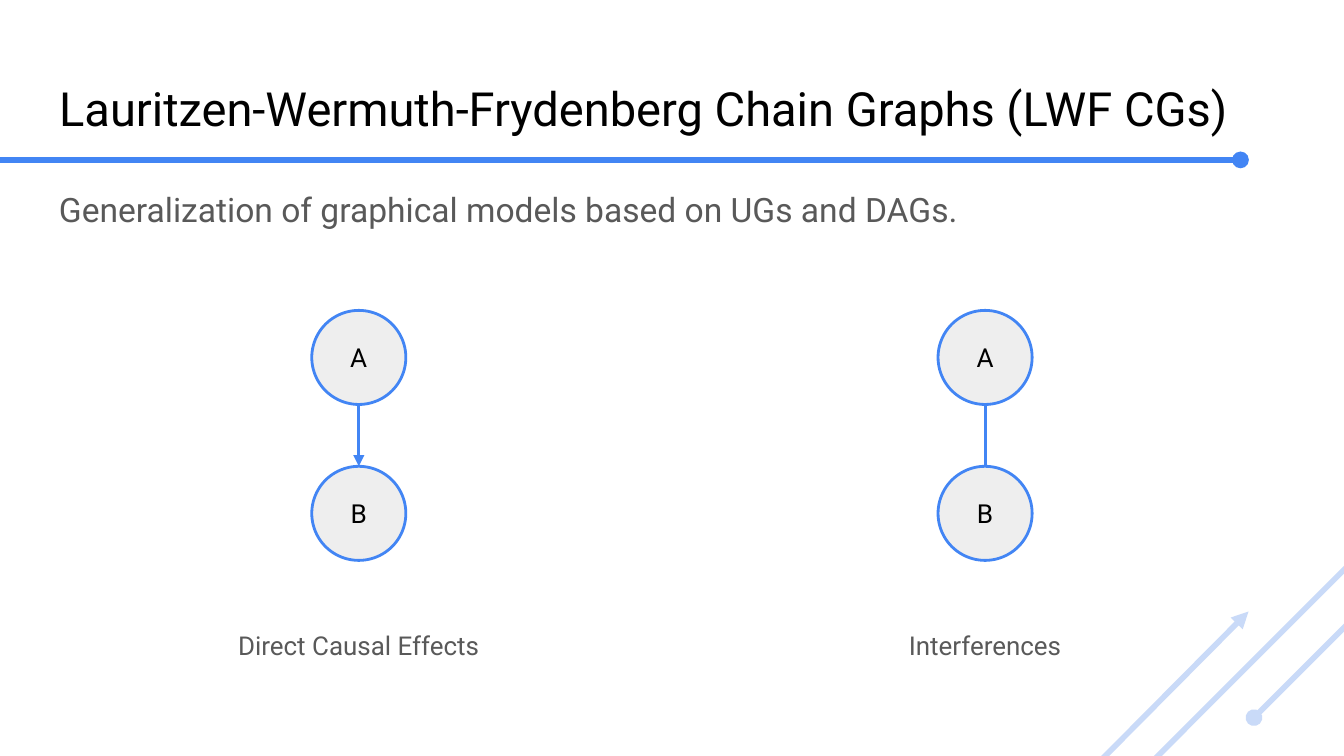
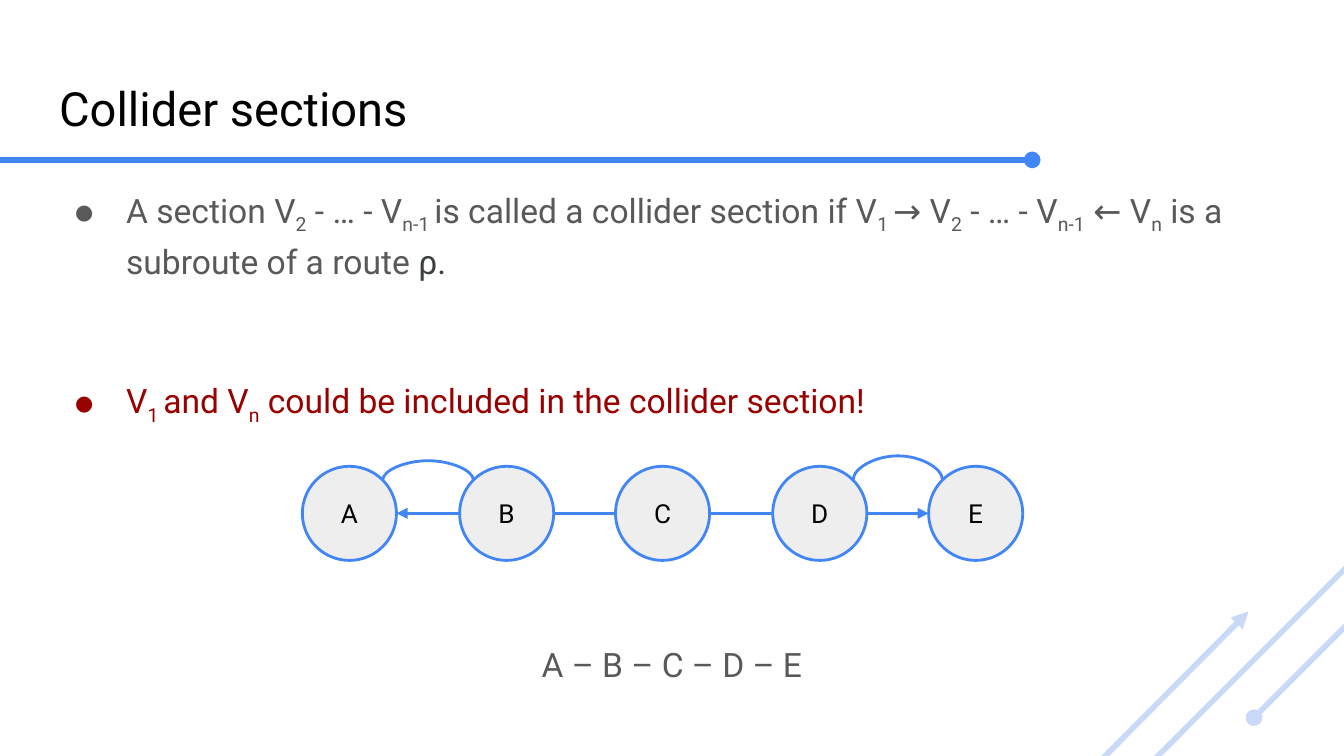
from math import cos, pi

from lxml.etree import SubElement
from pptx import Presentation
from pptx.dml.color import RGBColor
from pptx.enum.shapes import MSO_CONNECTOR as Connector, MSO_SHAPE as Shape
from pptx.enum.text import MSO_ANCHOR as Anchor, MSO_AUTO_SIZE as AutoSize, PP_ALIGN as Align
from pptx.oxml.ns import qn
from pptx.util import Emu, Inches, Pt

FONT = "Roboto"
BLACK = RGBColor(0x00, 0x00, 0x00)
GRAY = RGBColor(0x59, 0x59, 0x59)
SLATE = RGBColor(0x3C, 0x40, 0x43)
RED = RGBColor(0x99, 0x00, 0x00)
BLUE = RGBColor(0x42, 0x85, 0xF4)
PALE_BLUE = RGBColor(0xC9, 0xDA, 0xF8)
NODE_FILL = RGBColor(0xEE, 0xEE, 0xEE)

SLIDE_WIDTH = Inches(10)
SLIDE_HEIGHT = SLIDE_WIDTH * 9 // 16
MARGIN, CONTENT_WIDTH = 0.34, 9.32
TITLE_BOX = (MARGIN, 0.49, CONTENT_WIDTH, 0.63)
BODY_BOX = (MARGIN, 1.26, CONTENT_WIDTH, 3.74)
CORNER_LINES = [
    ((9.33, 5.34), (10.42, 4.25), "oval"),
    ((8.34, 5.9), (10.07, 4.17), None),
    ((9.29, 4.55), (8.04, 5.81), "triangle"),
]

NODE_SIZE = 0.7
LOWER_ROW = 3.47
UPPER_ROW = 2.31
TOP_LEFT_SITE, TOP_RIGHT_SITE = 1, 7  # connection sites of an ellipse
CURVE_DEPTH = Emu(600)

GENERALIZATION = "Generalization of graphical models based on UGs and DAGs."
EDGE_KINDS = [("Direct Causal Effects", "triangle"), ("Interferences", None)]

# In each bullet, every second piece is a subscript.
COLLIDER_BULLETS = [
    {
        "pieces": ["A section V", "2", " - … - V", "n-1 ", "is called a collider section if V",
                   "1 ", "→ V", "2", " - … - V", "n-1", " ← V", "n",
                   " is a subroute of a route "],
        "ending": "ρ.",
        "color": GRAY,
        "before": 0,
    },
    {
        "pieces": ["V", "1 ", "and V", "n", " could be included in the collider section!"],
        "ending": "",
        "color": RED,
        "before": 49,
    },
]
ROUTE_LEFTS = {"A": 2.25, "B": 3.42, "C": 4.58, "D": 5.75, "E": 6.91}
ROUTE_EDGES = [("B", "A", "triangle"), ("B", "C", None), ("C", "D", None), ("D", "E", "triangle")]
ROUTE_CURVES = [("A", "B", 0.12), ("D", "E", 0.15)]
ROUTE_TEXT = "A – B – C – D – E"


def add_run(paragraph, text, size, color, subscript=False):
    run = paragraph.add_run()
    run.text = text
    run.font.name = FONT
    run.font.size = Pt(size)
    run.font.color.rgb = color
    if subscript:
        run.font._element.set("baseline", "-25000")


def prepare_frame(shape, anchor=Anchor.TOP):
    """Set wrapping, insets and anchor; return the first paragraph."""
    frame = shape.text_frame
    frame.word_wrap = True
    frame.auto_size = AutoSize.NONE
    frame.vertical_anchor = anchor
    frame.margin_left = frame.margin_right = Inches(0.1)
    frame.margin_top = frame.margin_bottom = Inches(0.1)
    return frame.paragraphs[0]


def add_text_box(slide, box):
    shape = slide.shapes.add_textbox(*map(Inches, box))
    paragraph = prepare_frame(shape)
    paragraph.line_spacing = 1.15
    return shape, paragraph


def add_text(slide, box, text, size, align=Align.LEFT):
    paragraph = add_text_box(slide, box)[1]
    paragraph.alignment = align
    paragraph.space_after = Pt(12)
    add_run(paragraph, text, size, GRAY)


def add_line(slide, start, end, color=BLUE, width=1.5, head=None, tail=None,
             kind=Connector.STRAIGHT):
    """Draw a connector; head is the mark at the start, tail the one at the end."""
    points = map(Inches, (*start, *end))
    line = slide.shapes.add_connector(kind, *points)
    line.line.color.rgb = color
    line.line.width = Pt(width)
    properties = line._element.spPr
    outline = properties.find(qn("a:ln"))
    for tag, mark in (("a:headEnd", head), ("a:tailEnd", tail)):
        if mark:
            SubElement(outline, qn(tag), type=mark)
    SubElement(properties, qn("a:effectLst"))
    return line


def add_node(slide, label, left, top):
    node = slide.shapes.add_shape(
        Shape.OVAL, *map(Inches, (left, top, NODE_SIZE, NODE_SIZE)))
    node.shadow.inherit = False
    node.fill.solid()
    node.fill.fore_color.rgb = NODE_FILL
    node.line.color.rgb = BLUE
    node.line.width = Pt(1.5)
    paragraph = prepare_frame(node, Anchor.MIDDLE)
    paragraph.alignment = Align.CENTER
    add_run(paragraph, label, 14, BLACK)
    return node


def add_curve(slide, first, second, left, right, bulge):
    """Arch a curved connector between the facing upper corners of two nodes."""
    radius = NODE_SIZE / 2
    reach = radius * cos(pi / 4)
    start_x, end_x = left + radius + reach, right + radius - reach
    y = LOWER_ROW + radius - reach
    span = end_x - start_x
    curve = add_line(slide, (start_x, y), (end_x, y), kind=Connector.CURVE)

    # The connector runs downwards, so it is turned to lie on its side.
    curve.left = Inches((start_x + end_x) / 2) - CURVE_DEPTH // 2
    curve.top = Inches(y - span / 2)
    curve.width, curve.height = CURVE_DEPTH, Inches(span)
    properties = curve._element.spPr
    transform = properties.find(qn("a:xfrm"))
    transform.set("rot", "16200000")
    transform.set("flipH", "1")
    geometry = properties.find(qn("a:prstGeom"))
    adjustments = geometry.find(qn("a:avLst"))
    if adjustments is None:
        adjustments = SubElement(geometry, qn("a:avLst"))
    amount = -round(Inches(bulge) / CURVE_DEPTH * 100000)
    SubElement(adjustments, qn("a:gd"), name="adj1", fmla=f"val {amount}")

    links = next(curve._element.iter(qn("p:cNvCxnSpPr")))
    for tag, node, site in (("a:stCxn", first, TOP_RIGHT_SITE),
                            ("a:endCxn", second, TOP_LEFT_SITE)):
        SubElement(links, qn(tag), id=str(node.shape_id), idx=str(site))


def format_bullet(paragraph, color):
    properties = paragraph._p.get_or_add_pPr()
    properties.set("marL", str(Inches(0.5)))
    properties.set("indent", str(Inches(-0.38)))
    bullet_color = SubElement(properties, qn("a:buClr"))
    SubElement(bullet_color, qn("a:srgbClr"), val=str(color))
    SubElement(properties, qn("a:buSzPct"), val="62000")
    SubElement(properties, qn("a:buFont"), typeface=FONT)
    SubElement(properties, qn("a:buChar"), char="●")


def add_titled_slide(presentation, title, rule_end):
    """Add a slide with its title, the rule below it and the corner lines."""
    slide = presentation.slides.add_slide(presentation.slide_layouts[5])
    shape = slide.shapes.title
    shape.left, shape.top, shape.width, shape.height = map(Inches, TITLE_BOX)
    paragraph = prepare_frame(shape)
    paragraph.alignment = Align.LEFT
    add_run(paragraph, title, 25.2, BLACK)
    add_line(slide, (-0.08, 1.19), (rule_end, 1.19), width=3, tail="oval")
    for start, end, mark in CORNER_LINES:
        add_line(slide, start, end, PALE_BLUE, 3, head=mark)
    return slide


def build_chain_graphs(presentation):
    slide = add_titled_slide(
        presentation, "Lauritzen-Wermuth-Frydenberg Chain Graphs (LWF CGs)", 9.23)
    add_text(slide, BODY_BOX, GENERALIZATION, 18)
    column_width = CONTENT_WIDTH / len(EDGE_KINDS)
    for column, (caption, mark) in enumerate(EDGE_KINDS):
        left = MARGIN + column * column_width
        center = left + column_width / 2
        for label, top in (("A", UPPER_ROW), ("B", LOWER_ROW)):
            add_node(slide, label, center - NODE_SIZE / 2, top)
        add_line(slide, (center, UPPER_ROW + NODE_SIZE), (center, LOWER_ROW), tail=mark)
        add_text(slide, (left, 4.55, column_width, 0.44), caption, 13.9, Align.CENTER)


def build_collider_sections(presentation):
    slide = add_titled_slide(presentation, "Collider sections", 7.68)
    shape, paragraph = add_text_box(slide, BODY_BOX)
    for number, bullet in enumerate(COLLIDER_BULLETS):
        if number:
            paragraph = shape.text_frame.add_paragraph()
        paragraph.line_spacing = 1.15
        paragraph.space_before = Pt(bullet["before"])
        format_bullet(paragraph, bullet["color"])
        for index, piece in enumerate(bullet["pieces"]):
            add_run(paragraph, piece, 18, bullet["color"], subscript=index % 2 == 1)
        if bullet["ending"]:
            add_run(paragraph, bullet["ending"], 18, SLATE)

    nodes = {label: add_node(slide, label, left, LOWER_ROW)
             for label, left in ROUTE_LEFTS.items()}
    middle = LOWER_ROW + NODE_SIZE / 2
    for source, target, mark in ROUTE_EDGES:
        start, end = ROUTE_LEFTS[source], ROUTE_LEFTS[target]
        if start < end:
            start += NODE_SIZE
        else:
            end += NODE_SIZE
        add_line(slide, (start, middle), (end, middle), tail=mark)
    for first, second, bulge in ROUTE_CURVES:
        add_curve(slide, nodes[first], nodes[second],
                  ROUTE_LEFTS[first], ROUTE_LEFTS[second], bulge)
    add_text(slide, (3.36, 4.65, 3.28, 0.5), ROUTE_TEXT, 18, Align.CENTER)


def main():
    presentation = Presentation()
    presentation.slide_width = SLIDE_WIDTH
    presentation.slide_height = SLIDE_HEIGHT
    build_chain_graphs(presentation)
    build_collider_sections(presentation)
    presentation.save("out.pptx")


if __name__ == "__main__":
    main()
